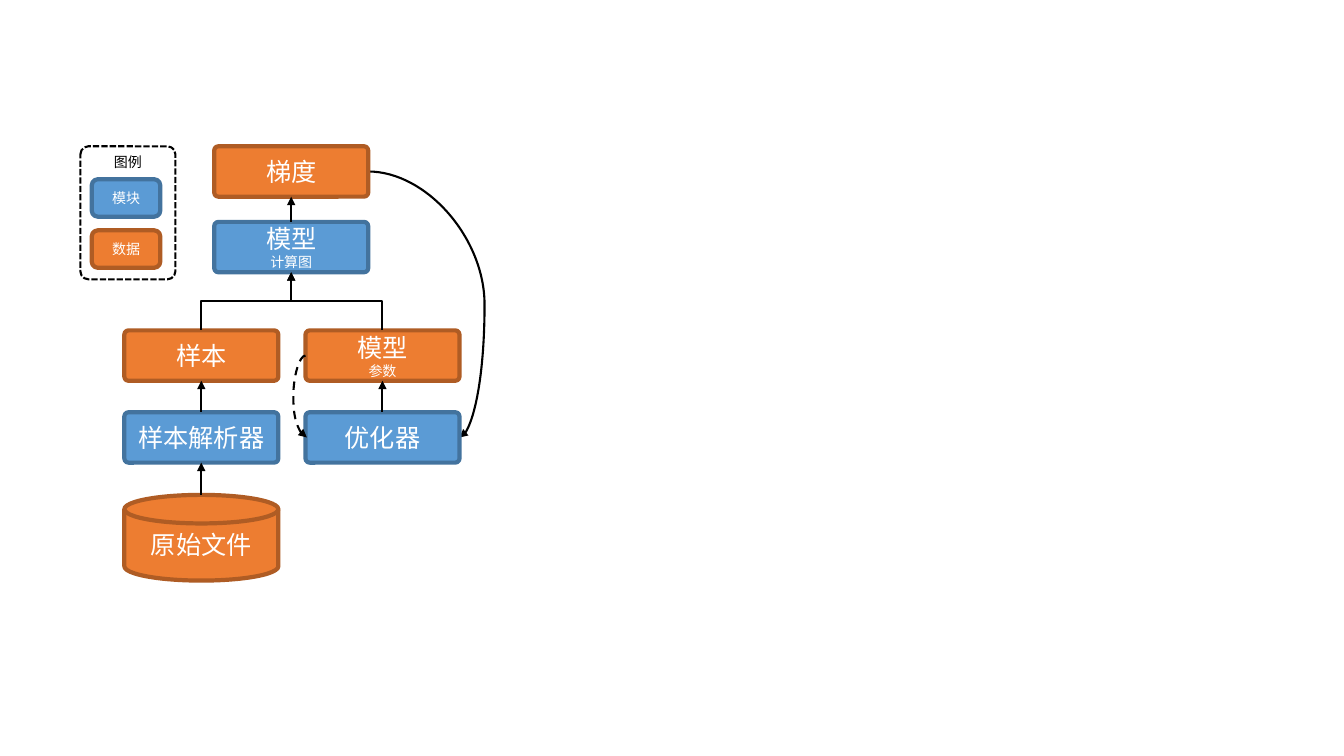
from lxml.etree import SubElement
from pptx import Presentation
from pptx.dml.color import RGBColor
from pptx.enum.dml import MSO_LINE
from pptx.enum.shapes import MSO_CONNECTOR, MSO_SHAPE
from pptx.enum.text import MSO_ANCHOR, PP_ALIGN
from pptx.oxml.ns import qn
from pptx.util import Pt

FONT = "Noto Sans CJK SC"
BLACK = RGBColor(0x00, 0x00, 0x00)
WHITE = RGBColor(0xFF, 0xFF, 0xFF)
BLUE = RGBColor(0x5B, 0x9B, 0xD5)
DARK_BLUE = RGBColor(0x43, 0x73, 0x9E)
ORANGE = RGBColor(0xED, 0x7D, 0x31)
DARK_ORANGE = RGBColor(0xAF, 0x5C, 0x24)

# Fill and outline of the two kinds of box
MODULE = (BLUE, DARK_BLUE)
DATA = (ORANGE, DARK_ORANGE)
CORNER = 0.083


def add_line_of_text(paragraph, text, size, color):
    paragraph.alignment = PP_ALIGN.CENTER
    run = paragraph.add_run()
    run.text = text
    run.font.size = Pt(size)
    run.font.name = FONT
    run.font.color.rgb = color
    SubElement(run.font._element, qn("a:ea")).set("typeface", FONT)


def add_box(slide, box, kind, lines, preset=MSO_SHAPE.ROUNDED_RECTANGLE, corner=None):
    """Filled box; lines holds (text, size) pairs."""
    shape = slide.shapes.add_shape(preset, *map(Pt, box))
    shape.shadow.inherit = False
    if corner is not None:
        shape.adjustments[0] = corner
    shape.fill.solid()
    shape.fill.fore_color.rgb, shape.line.color.rgb = kind
    shape.line.width = Pt(3)
    frame = shape.text_frame
    frame.word_wrap = True
    frame.vertical_anchor = MSO_ANCHOR.MIDDLE
    for index, (text, size) in enumerate(lines):
        paragraph = frame.add_paragraph() if index else frame.paragraphs[0]
        add_line_of_text(paragraph, text, size, WHITE)


def add_arrow(slide, kind, tip, tail, bend=None, rotation=0, dash=None):
    """Connector with its arrowhead at tip; bend is the share of its width."""
    connector = slide.shapes.add_connector(kind, *map(Pt, tip + tail))
    connector.line.color.rgb = BLACK
    connector.line.width = Pt(1.5)
    if dash:
        connector.line.dash_style = dash
    properties = connector._element.spPr
    SubElement(properties.find(qn("a:ln")), qn("a:headEnd")).set("type", "triangle")
    SubElement(properties, qn("a:effectLst"))
    if rotation:
        properties.find(qn("a:xfrm")).set("rot", str(rotation * 60000))
    if bend is not None:
        guides = properties.find(qn("a:prstGeom")).get_or_add_avLst()
        guide = SubElement(guides, qn("a:gd"))
        guide.set("name", "adj1")
        guide.set("fmla", f"val {round(bend * 100000)}")


def add_elbow(slide, tip, tail):
    """Vertical, horizontal, vertical elbow: a turned horizontal one."""
    center_x, center_y = (tip[0] + tail[0]) / 2, (tip[1] + tail[1]) / 2
    half_width = (tail[1] - tip[1]) / 2
    half_height = abs(tail[0] - tip[0]) / 2
    to_right = tail[0] > tip[0]
    if to_right:
        half_width = -half_width
    start = (center_x - half_width, center_y - half_height)
    end = (center_x + half_width, center_y + half_height)
    add_arrow(slide, MSO_CONNECTOR.ELBOW, start, end, 0.5, 270 if to_right else 90)


def draw_legend(slide, left, top, width, height):
    # Dashed frame with its heading
    frame = slide.shapes.add_shape(
        MSO_SHAPE.ROUNDED_RECTANGLE, Pt(left), Pt(top), Pt(width), Pt(height))
    frame.shadow.inherit = False
    frame.adjustments[0] = CORNER
    frame.fill.background()
    frame.line.color.rgb = BLACK
    frame.line.width = Pt(1.5)
    frame.line.dash_style = MSO_LINE.SQUARE_DOT
    frame.text_frame.word_wrap = True
    frame.text_frame.vertical_anchor = MSO_ANCHOR.TOP
    add_line_of_text(frame.text_frame.paragraphs[0], "图例", 10, BLACK)

    # One sample for each kind
    for index, (text, kind) in enumerate([("模块", MODULE), ("数据", DATA)]):
        box = (left + 8, top + 23.5 + 36.5 * index, 49, 26.8)
        add_box(slide, box, kind, [(text, 10)])


def draw_training_flow(slide, left, top, width):
    box_width, box_height, disk_height = 110, 36, 61.2
    samples = left + box_width / 2
    parameters = left + width - box_width / 2
    model = left + 119.2
    gradient_y, model_y, data_y, module_y, file_y = (
        top + offset for offset in (0, 54, 131.5, 190, 249))
    half = box_height / 2

    # Gradient back to the optimizer, behind the boxes
    tip = (parameters + box_width / 2, module_y + half)
    tail = (model + box_width / 2, gradient_y + half)
    add_arrow(slide, MSO_CONNECTOR.CURVE, tip, tail, -18 / (tip[0] - tail[0]))

    # Boxes
    for center, y, kind, lines in [
        (samples, module_y, MODULE, [("样本解析器", 18)]),
        (samples, data_y, DATA, [("样本", 18)]),
        (parameters, data_y, DATA, [("模型", 18), ("参数", 10)]),
        (model, model_y, MODULE, [("模型", 18), ("计算图", 10)]),
        (parameters, module_y, MODULE, [("优化器", 18)]),
        (model, gradient_y, DATA, [("梯度", 18)]),
    ]:
        box = (center - box_width / 2, y, box_width, box_height)
        add_box(slide, box, kind, lines, corner=CORNER)
    add_box(slide, (left, file_y, box_width, disk_height), DATA,
            [("原始文件", 18)], MSO_SHAPE.FLOWCHART_MAGNETIC_DISK)

    # Samples and parameters join into the model
    for center in (parameters, samples):
        add_elbow(slide, (model, model_y + box_height), (center, data_y))

    # Straight arrows upwards
    for center, upper, lower in [
        (samples, data_y, module_y),
        (samples, module_y, file_y),
        (parameters, data_y, module_y),
        (model, gradient_y, model_y),
    ]:
        add_arrow(slide, MSO_CONNECTOR.STRAIGHT,
                  (center, upper + box_height), (center, lower))

    # Parameters back to the optimizer
    edge = parameters - box_width / 2
    add_arrow(slide, MSO_CONNECTOR.CURVE, (edge + 1, module_y + half),
              (edge, data_y + half), 9.75, dash=MSO_LINE.DASH)


def main():
    presentation = Presentation()
    presentation.slide_width, presentation.slide_height = Pt(960), Pt(540)
    slide = presentation.slides.add_slide(presentation.slide_layouts[6])
    draw_training_flow(slide, 88.8, 104.5, 239.4)
    draw_legend(slide, 57.5, 104.5, 67.8, 95)
    presentation.save("out.pptx")


if __name__ == "__main__":
    main()
